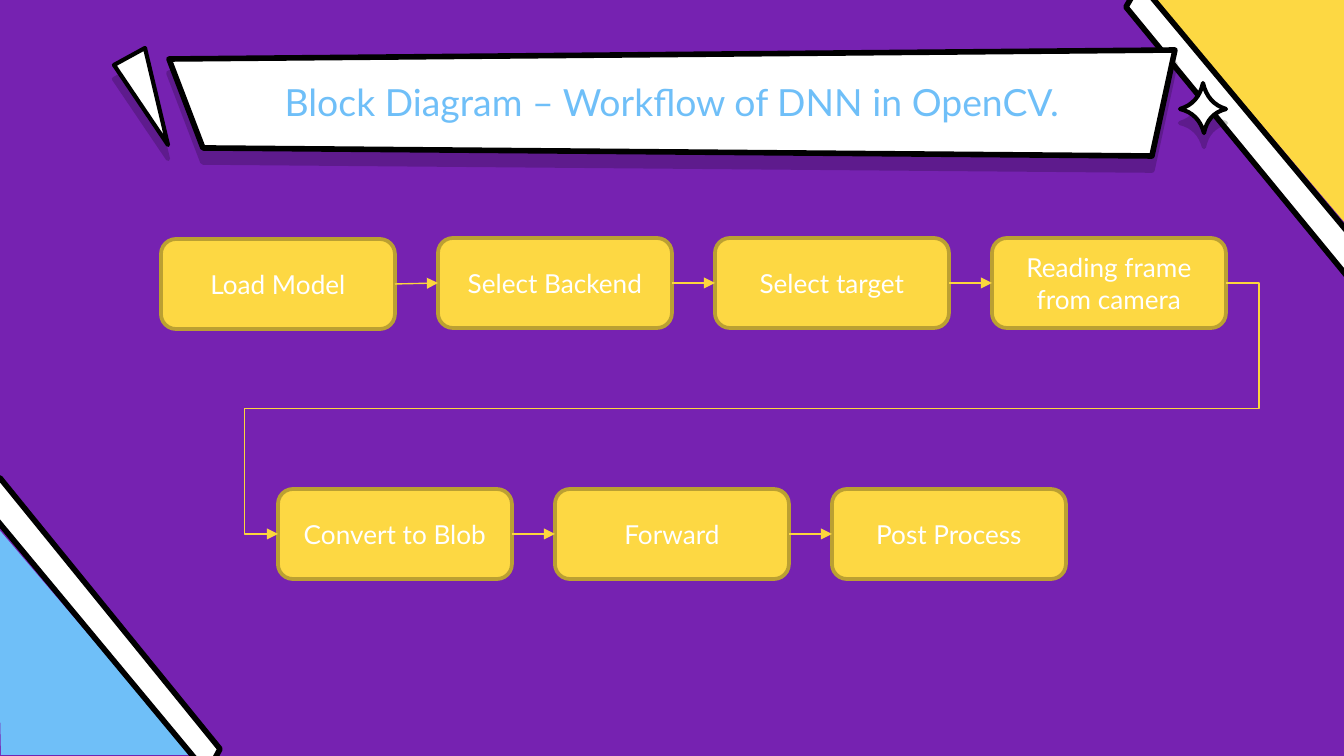
from dataclasses import dataclass
from typing import Any, Optional

from lxml.etree import SubElement
from pptx import Presentation
from pptx.dml.color import RGBColor
from pptx.enum.shapes import MSO_CONNECTOR, MSO_SHAPE
from pptx.enum.text import MSO_ANCHOR, PP_ALIGN
from pptx.oxml.ns import qn
from pptx.util import Emu, Pt

WIDE, HIGH = 1344, 756
SCALE = 9144000 / WIDE
PURPLE = RGBColor(0x76, 0x22, 0xB1)
YELLOW = RGBColor(0xFD, 0xD8, 0x43)
GOLD = RGBColor(0xBB, 0xA0, 0x32)
WIRE = RGBColor(0xFC, 0xD6, 0x3D)
BLUE = RGBColor(0x6F, 0xBF, 0xF8)
WHITE = RGBColor(0xFF, 0xFF, 0xFF)
BLACK = RGBColor(0, 0, 0)
CENTER = PP_ALIGN.CENTER
MIDDLE = MSO_ANCHOR.MIDDLE
ROUND = MSO_SHAPE.ROUNDED_RECTANGLE
STRAIGHT, ELBOW = MSO_CONNECTOR.STRAIGHT, MSO_CONNECTOR.ELBOW
LEFT, RIGHT = 1, 3
BOX_W, BOX_H, STEP = 234, 90, 277
FONT = "Lato"
Point = tuple[float, float]


@dataclass
class Patch:
    points: list[Point]
    fill: RGBColor
    line: Optional[float] = None
    shade: bool = False


@dataclass
class Box:
    label: str
    left: int
    top: int


def px(value: float) -> Emu:
    return Emu(round(value * SCALE))


def star(tips: list[Point], pull: float, steps: int) -> list[Point]:
    mid = [sum(axis) / len(tips) for axis in zip(*tips)]
    points = []
    for start, end in zip(tips, tips[1:] + tips[:1]):
        bend = [(a + b) / 2 * (1 - pull) + c * pull
                for a, b, c in zip(start, end, mid)]
        for step in range(steps):
            t = step / steps
            x, y = [(1 - t) ** 2 * a + 2 * t * (1 - t) * c + t * t * b
                    for a, b, c in zip(start, end, bend)]
            points.append((x, y))
    return points


def add_shade(effects: Any, drop: Emu, color: RGBColor, alpha: int) -> None:
    shade = SubElement(effects, qn("a:outerShdw"), blurRad="0",
                       dist=str(drop), dir="5400000", algn="bl", rotWithShape="0")
    tone = SubElement(shade, qn("a:srgbClr"), val=str(color))
    SubElement(tone, qn("a:alpha"), val=str(alpha * 1000))


def draw_patch(shapes: Any, patch: Patch) -> None:
    first, *rest = [(px(x), px(y)) for x, y in patch.points]
    pen = shapes.build_freeform(*first, scale=1.0)
    pen.add_line_segments(rest, close=True)
    shape = pen.convert_to_shape()
    shape.shadow.inherit = False
    shape.fill.solid()
    shape.fill.fore_color.rgb = patch.fill
    if patch.line:
        shape.line.color.rgb = BLACK
        shape.line.width = Pt(patch.line)
    else:
        shape.line.fill.background()
    if patch.shade:
        add_shade(shape.element.spPr.find(qn("a:effectLst")), Pt(7.5), BLACK, 20)


def set_text(shape: Any, text: str, size: int, color: RGBColor) -> Any:
    frame = shape.text_frame
    frame.text = text
    frame.word_wrap = True
    frame.vertical_anchor = MIDDLE
    para = frame.paragraphs[0]
    para.alignment = CENTER
    font = para.runs[0].font
    font.name = FONT
    font.size = Pt(size)
    font.color.rgb = color
    return para.runs[0]


def draw_title(shapes: Any, text: str) -> None:
    title = shapes.title
    shapes.element.append(title.element)
    title.left, title.top = px(105), px(82)
    title.width, title.height = px(1134), px(40)
    run = set_text(title, text, 20, BLUE)
    frame = title.text_frame
    frame.margin_left = frame.margin_right = px(13)
    frame.margin_top = frame.margin_bottom = px(13)
    props = run.font.fill.fore_color and run._r.get_or_add_rPr()
    effects = SubElement(props, qn("a:effectLst"))
    props.find(qn("a:solidFill")).addnext(effects)
    add_shade(effects, Pt(1.5), BLACK, 80)


def draw_box(shapes: Any, box: Box) -> Any:
    shape = shapes.add_shape(ROUND, px(box.left), px(box.top), px(BOX_W), px(BOX_H))
    shape.shadow.inherit = False
    shape.fill.solid()
    shape.fill.fore_color.rgb = YELLOW
    shape.line.color.rgb = GOLD
    shape.line.width = Pt(2)
    set_text(shape, box.label, 14, WHITE)
    return shape


def draw_link(shapes: Any, kind: Any, start: Any, end: Any) -> Any:
    link = shapes.add_connector(
        kind, start.left + start.width, start.top + start.height // 2,
        end.left, end.top + end.height // 2)
    link.line.color.rgb = WIRE
    link.line.width = Pt(0.75)
    props = link.element.spPr
    SubElement(props.find(qn("a:ln")), qn("a:tailEnd"), type="triangle")
    SubElement(props, qn("a:effectLst"))
    return link


def draw_row(shapes: Any, row: list[Box]) -> list[Any]:
    boxes = [draw_box(shapes, box) for box in row]
    for start, end in zip(boxes, boxes[1:]):
        link = draw_link(shapes, STRAIGHT, start, end)
        link.begin_connect(start, RIGHT)
        link.end_connect(end, LEFT)
    return boxes


def draw_turn(shapes: Any, start: Any, end: Any) -> None:
    link = draw_link(shapes, ELBOW, start, end)
    shape = link.element.spPr.find(qn("a:prstGeom"))
    shape.set("prst", "bentConnector5")
    guides = shape.find(qn("a:avLst"))
    for index, value in enumerate((-3500, 50000, 103500), 1):
        SubElement(guides, qn("a:gd"), name=f"adj{index}", fmla=f"val {value}")


PATCHES = [
    Patch([(1345, 0), (1156, 0), (1351, 230)], YELLOW),
    Patch([(1126, 7), (1347, 276), (1366, 254), (1140, -17)], WHITE, 3),
    Patch([(203, 148), (169, 59), (1175, 50), (1152, 156)], WHITE, 3, True),
    Patch([(114, 65), (145, 48), (168, 145)], WHITE, 2.25, True),
    Patch(star([(1203, 83), (1180, 109), (1204, 133), (1226, 109)], 0.6, 8),
          WHITE, 2.25, True),
    Patch([(1, 755), (191, 755), (-4, 526)], BLUE),
    Patch([(220, 749), (0, 478), (-19, 501), (207, 773)], WHITE, 3),
]
UPPER = [Box(label, 161 + i * STEP, 239 if i == 0 else 238) for i, label in enumerate(
    ["Load Model", "Select Backend", "Select target", "Reading frame from camera"])]
LOWER = [Box(label, 278 + i * STEP, 489) for i, label in enumerate(
    ["Convert to Blob", "Forward", "Post Process"])]


def main() -> None:
    deck = Presentation()
    deck.slide_width, deck.slide_height = px(WIDE), px(HIGH)
    slide = deck.slides.add_slide(deck.slide_layouts[5])
    slide.background.fill.solid()
    slide.background.fill.fore_color.rgb = PURPLE
    shapes = slide.shapes
    for patch in PATCHES:
        draw_patch(shapes, patch)
    draw_title(shapes, "Block Diagram – Workflow of DNN in OpenCV.")
    upper = draw_row(shapes, UPPER)
    lower = draw_row(shapes, LOWER)
    draw_turn(shapes, upper[-1], lower[0])
    deck.save("out.pptx")


if __name__ == "__main__":
    main()
